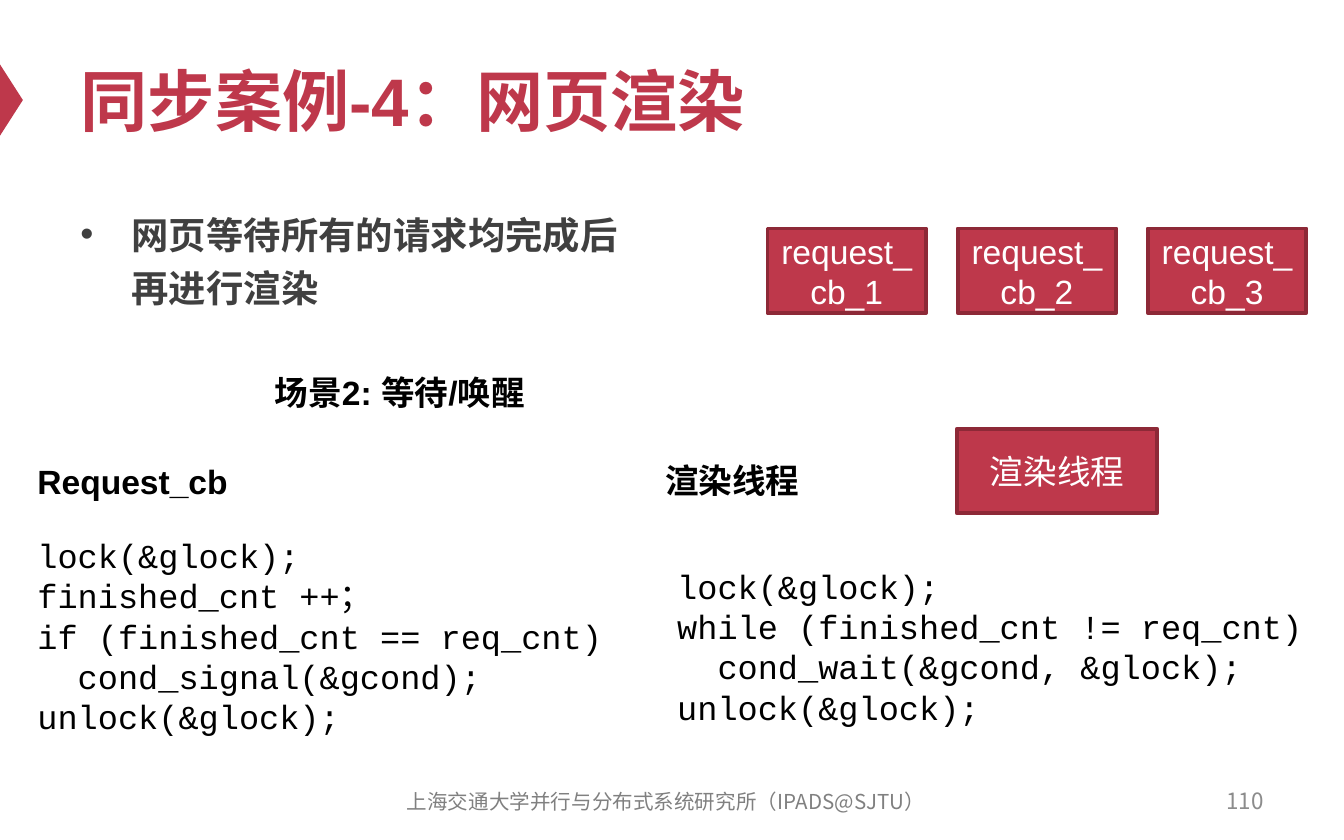
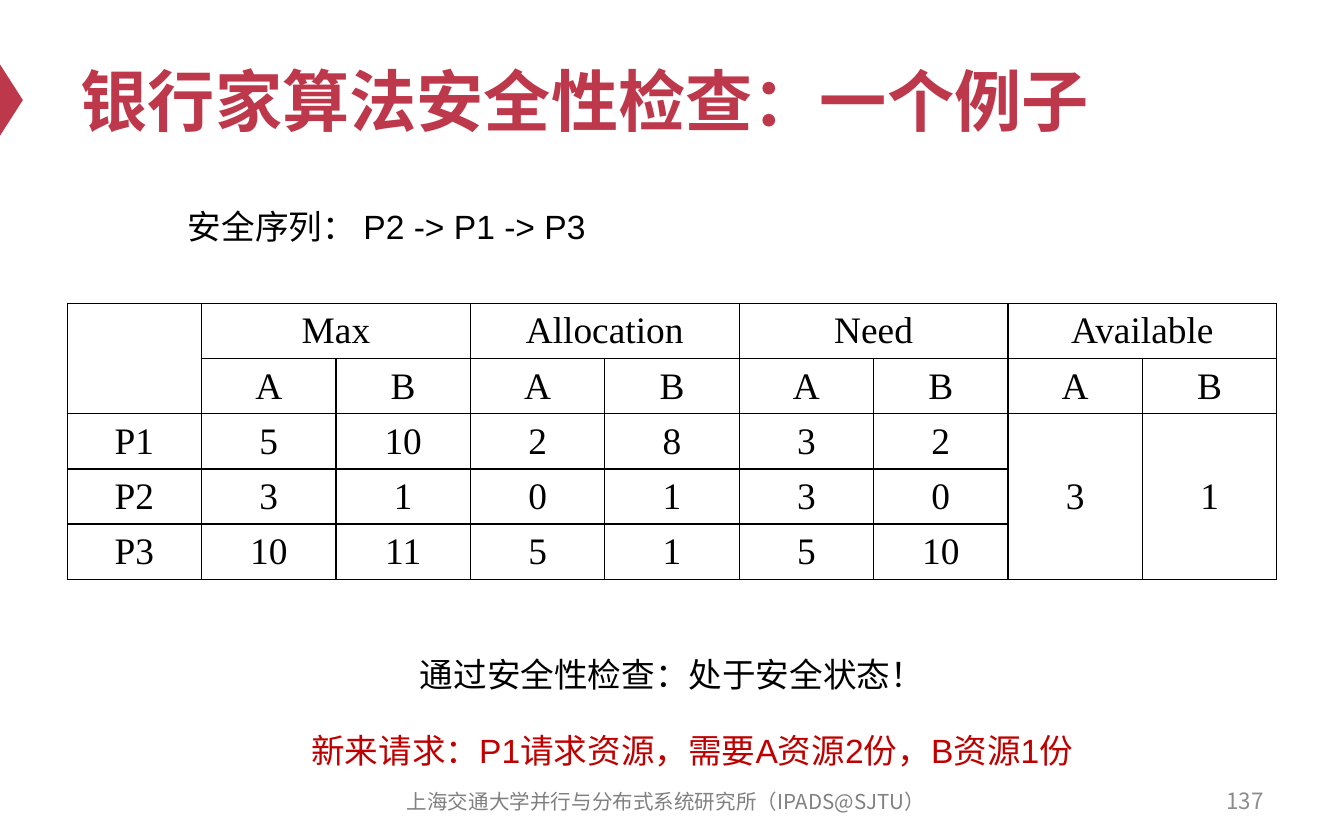
"""Build two slides on synchronisation and the banker's algorithm."""
from dataclasses import dataclass

from lxml import etree
from pptx import Presentation
from pptx.dml.color import RGBColor
from pptx.enum.shapes import MSO_SHAPE
from pptx.enum.text import MSO_ANCHOR, MSO_AUTO_SIZE, PP_ALIGN
from pptx.oxml.ns import qn
from pptx.slide import Slide
from pptx.text.text import TextFrame
from pptx.util import Inches, Pt

RECT, TRI = MSO_SHAPE.RECTANGLE, MSO_SHAPE.ISOSCELES_TRIANGLE
LEFT, MID, RIGHT = PP_ALIGN.LEFT, PP_ALIGN.CENTER, PP_ALIGN.RIGHT
TOP, CENTER = MSO_ANCHOR.TOP, MSO_ANCHOR.MIDDLE
FIXED, GROW = MSO_AUTO_SIZE.NONE, MSO_AUTO_SIZE.SHAPE_TO_FIT_TEXT

RED = RGBColor(0xBE, 0x38, 0x4B)
EDGE = RGBColor(0x8D, 0x29, 0x37)
ALERT = RGBColor(0xC0, 0x00, 0x00)
INK = RGBColor(0x40, 0x40, 0x40)
GRAY = RGBColor(0x80, 0x80, 0x80)
PALE = RGBColor(0x8C, 0x8C, 0x8C)
BLACK = RGBColor(0x00, 0x00, 0x00)
WHITE = RGBColor(0xFF, 0xFF, 0xFF)

SANS, MONO, SERIF, HAN = "Arial", "Courier New", "Times New Roman", "Noto Sans CJK SC"
FOOTER = "上海交通大学并行与分布式系统研究所（IPADS@SJTU）"

SIGNAL = """lock(&glock);
finished_cnt ++；
if (finished_cnt == req_cnt)
  cond_signal(&gcond);
unlock(&glock);"""
WAIT = """lock(&glock);
while (finished_cnt != req_cnt)
  cond_wait(&gcond, &glock);
unlock(&glock);"""

GROUPS = ["Max", "Allocation", "Need", "Available"]
ROWS = [
    ["P1", 5, 10, 2, 8, 3, 2, 3, 1],
    ["P2", 3, 1, 0, 1, 3, 0],
    ["P3", 10, 11, 5, 1, 5, 10],
]


@dataclass(frozen=True)
class Style:
    """Look of a piece of text."""

    size: int = 18
    color: RGBColor = BLACK
    bold: bool = False
    face: str = SANS
    align: PP_ALIGN = LEFT
    space: float = 1.0


@dataclass(frozen=True)
class Label:
    """Text box with its place and look."""

    text: str
    left: float
    top: float
    width: float
    height: float
    style: Style = Style()
    wrap: bool = True
    anchor: MSO_ANCHOR = TOP
    fit: MSO_AUTO_SIZE = GROW


@dataclass(frozen=True)
class Box:
    """Red box with a caption."""

    text: str
    left: float
    top: float
    width: float


TITLE = Style(36, RED, True)
HEAD = Style(bold=True)
CODE = Style(face=MONO)
BOXED = Style(color=WHITE, align=MID)
CELL = Style(20, face=SERIF, align=MID)
NOTE = Style(align=MID, space=1.5)


def write(frame: TextFrame, text: str, style: Style) -> None:
    """Fill a frame with text and format every run."""
    frame.text = text
    for para in frame.paragraphs:
        para.alignment = style.align
        para.line_spacing = style.space
        for run in para.runs:
            font = run.font
            font.size, font.bold, font.name = Pt(style.size), style.bold, style.face
            font.color.rgb = style.color
            east = etree.Element(qn("a:ea"), typeface=HAN)
            run._r.rPr.find(qn("a:latin")).addnext(east)


def add_label(slide: Slide, label: Label) -> TextFrame:
    """Draw a text box."""
    place = map(Inches, (label.left, label.top, label.width, label.height))
    frame = slide.shapes.add_textbox(*place).text_frame
    frame.word_wrap = label.wrap
    frame.auto_size = label.fit
    frame.vertical_anchor = label.anchor
    write(frame, label.text, label.style)
    return frame


def add_point(slide: Slide, label: Label) -> None:
    """Draw a text box with a bullet."""
    para = add_label(slide, label).paragraphs[0]
    props = para._p.get_or_add_pPr()
    props.set("marL", str(Inches(0.38)))
    props.set("indent", str(Inches(-0.38)))
    etree.SubElement(props, qn("a:buFont"), typeface=SANS)
    etree.SubElement(props, qn("a:buChar"), char="•")


def add_box(slide: Slide, box: Box) -> None:
    """Draw a red box."""
    shape = slide.shapes.add_shape(
        RECT, Inches(box.left), Inches(box.top), Inches(box.width), Inches(0.63)
    )
    shape.shadow.inherit = False
    shape.fill.solid()
    shape.fill.fore_color.rgb = RED
    shape.line.color.rgb = EDGE
    shape.line.width = Pt(2)
    shape.text_frame.word_wrap = True
    shape.text_frame.vertical_anchor = CENTER
    write(shape.text_frame, box.text, BOXED)


def add_slide(prs: Presentation, title: str, number: int) -> Slide:
    """Add a slide with marker, title and footer."""
    slide = prs.slides.add_slide(prs.slide_layouts[5])
    mark = slide.shapes.add_shape(
        TRI, Inches(-0.18), Inches(0.66), Inches(0.53), Inches(0.17)
    )
    mark.rotation = 90
    mark.shadow.inherit = False
    mark.fill.solid()
    mark.fill.fore_color.rgb = RED
    mark.line.fill.background()

    head = slide.shapes.title
    head.left, head.top = Inches(0.5), Inches(0.25)
    head.width, head.height = Inches(9), Inches(0.98)
    head.text_frame.vertical_anchor = CENTER
    head.text_frame.auto_size = FIXED
    write(head.text_frame, title, TITLE)

    foot = Style(11, GRAY, face=HAN, align=MID)
    page = Style(12, PALE, face=HAN, align=RIGHT)
    for label in (
        Label(FOOTER, 2.79, 5.8, 4.33, 0.33, foot, anchor=CENTER, fit=FIXED),
        Label(str(number), 7.17, 5.79, 2.33, 0.33, page, anchor=CENTER, fit=FIXED),
    ):
        add_label(slide, label)
    return slide


def add_grid(slide: Slide) -> None:
    """Draw the table of resources."""
    count = 1 + 2 * len(GROUPS)
    table = slide.shapes.add_table(
        5, count, Inches(0.5), Inches(2.26), Inches(9), Inches(2.05)
    ).table
    table.first_row = table.horz_banding = False
    for cell in table.iter_cells():
        cell.margin_top = cell.margin_bottom = Inches(0.04)
        cell.vertical_anchor = CENTER
        props = cell._tc.get_or_add_tcPr()
        for side in ("a:lnL", "a:lnR", "a:lnT", "a:lnB"):
            line = etree.SubElement(props, qn(side), w=str(Pt(0.75)))
            fill = etree.SubElement(line, qn("a:solidFill"))
            etree.SubElement(fill, qn("a:srgbClr"), val=str(BLACK))
        cell.fill.background()

    table.cell(0, 0).merge(table.cell(1, 0))
    for col, name in zip(range(1, count, 2), GROUPS):
        table.cell(0, col).merge(table.cell(0, col + 1))
        write(table.cell(0, col).text_frame, name, CELL)
        for step, kind in enumerate("AB"):
            write(table.cell(1, col + step).text_frame, kind, CELL)
    for col in (count - 2, count - 1):
        table.cell(2, col).merge(table.cell(4, col))
    for row, values in enumerate(ROWS, 2):
        for col, value in enumerate(values):
            write(table.cell(row, col).text_frame, str(value), CELL)


def add_sync(prs: Presentation) -> None:
    """Build the slide on page rendering."""
    slide = add_slide(prs, "同步案例-4：网页渲染", 110)
    point = Style(20, INK, True, space=1.2)
    add_point(
        slide,
        Label("网页等待所有的请求均完成后\v再进行渲染", 0.5, 1.46, 4.95, 1.17, point, fit=FIXED),
    )
    for step in range(3):
        add_box(slide, Box(f"request_cb_{step + 1}", 5.71 + 1.415 * step, 1.7, 1.18))
    add_box(slide, Box("渲染线程", 7.12, 3.19, 1.49))
    scene = Style(bold=True, align=MID)
    for label in (
        Label("场景2: 等待/唤醒", 0.85, 2.72, 4.25, 0.4, scene),
        Label("Request_cb", 0.18, 3.38, 1.63, 0.4, HEAD, wrap=False),
        Label(SIGNAL, 0.18, 3.93, 4.42, 1.62, CODE, wrap=False),
        Label("渲染线程", 4.85, 3.37, 1.21, 0.4, HEAD, wrap=False),
        Label(WAIT, 4.94, 4.16, 4.88, 1.31, CODE, wrap=False),
    ):
        add_label(slide, label)


def add_bank(prs: Presentation) -> None:
    """Build the slide on the safety check."""
    slide = add_slide(prs, "银行家算法安全性检查：一个例子", 137)
    add_grid(slide)
    alert = Style(color=ALERT, align=MID, space=1.5)
    for label in (
        Label("安全序列： P2 -> P1 -> P3", 1.3, 1.33, 7.64, 0.5, Style(space=1.5)),
        Label("通过安全性检查：处于安全状态！", 1.18, 4.67, 7.64, 0.5, NOTE),
        Label("新来请求：P1请求资源，需要A资源2份，B资源1份", 1.33, 5.23, 7.64, 0.5, alert),
    ):
        add_label(slide, label)


def main() -> None:
    """Build and save the deck."""
    prs = Presentation()
    prs.slide_width, prs.slide_height = Inches(10), Inches(6.25)
    add_sync(prs)
    add_bank(prs)
    prs.save("out.pptx")


if __name__ == "__main__":
    main()
